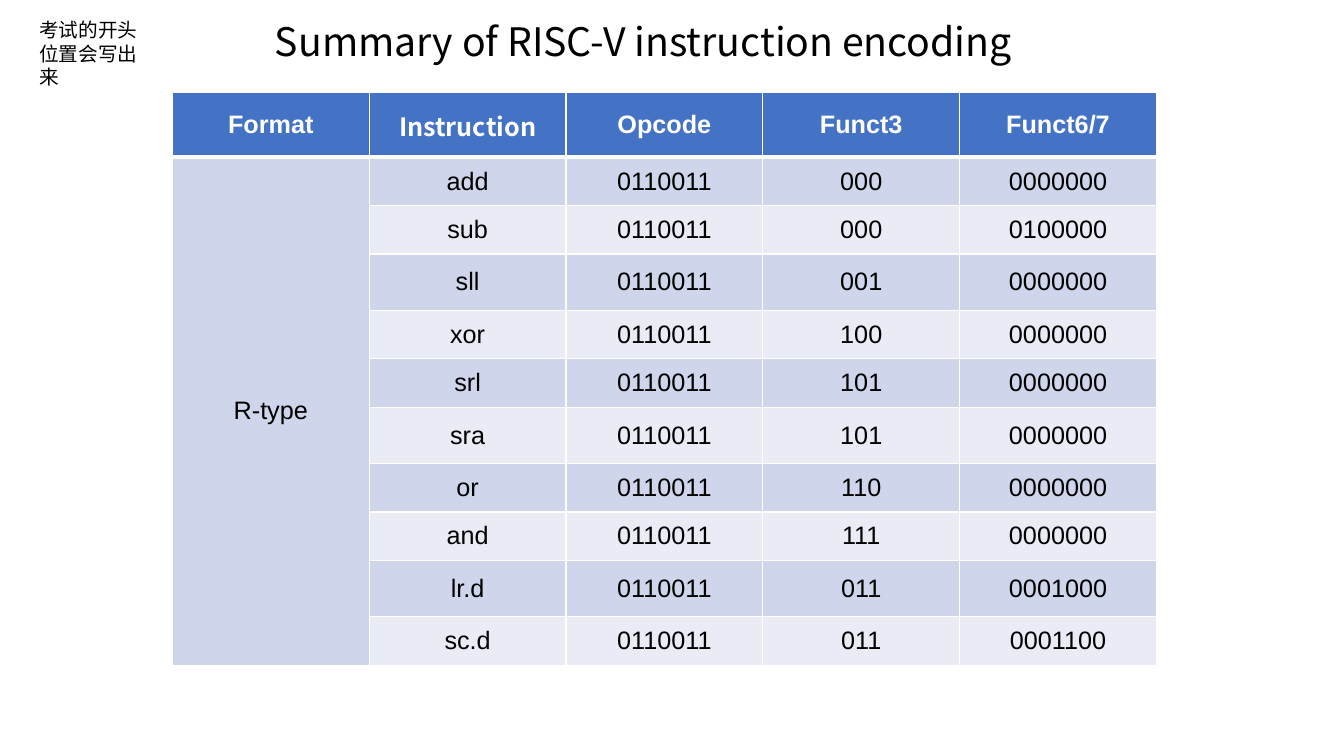
from lxml.etree import SubElement
from pptx import Presentation
from pptx.dml.color import RGBColor
from pptx.enum.text import MSO_ANCHOR, MSO_AUTO_SIZE, PP_ALIGN
from pptx.oxml.ns import qn
from pptx.util import Inches, Pt

LATIN_FONT = "Arial"
CHINESE_FONT = "Noto Sans CJK SC"
BLACK, WHITE = "000000", "FFFFFF"
HEADER_FILL = "4472C4"
BAND_FILLS = ("CFD5EA", "E9EBF5")

HEADERS = ("Format", "Instruction", "Opcode", "Funct3", "Funct6/7")
FORMAT = "R-type"
OPCODE = "0110011"
INSTRUCTIONS = (
    ("add", "000", "0000000"),
    ("sub", "000", "0100000"),
    ("sll", "001", "0000000"),
    ("xor", "100", "0000000"),
    ("srl", "101", "0000000"),
    ("sra", "101", "0000000"),
    ("or", "110", "0000000"),
    ("and", "111", "0000000"),
    ("lr.d", "011", "0001000"),
    ("sc.d", "011", "0001100"),
)
HEADER_HEIGHT, ROW_HEIGHT, TALL_ROW_HEIGHT = 0.64, 0.48, 0.56


def color(value):
    return RGBColor.from_string(value)


def format_text(frame, size, font=LATIN_FONT, fill=BLACK, bold=False, align=None):
    for para in frame.paragraphs:
        para.alignment = align
        for span in para.runs:
            span.font.size = Pt(size)
            span.font.name = font
            span.font.bold = bold
            span.font.color.rgb = color(fill)
            east_asian = SubElement(span.font._element, qn("a:ea"))
            east_asian.set("typeface", CHINESE_FONT)


def place(box, left, top, width, height):
    box.left, box.top = Inches(left), Inches(top)
    box.width, box.height = Inches(width), Inches(height)


def set_borders(cell, bottom_width):
    """Draw white cell edges; call before the cell gets its fill."""
    properties = cell._tc.get_or_add_tcPr()
    widths = {"lnL": 1, "lnR": 1, "lnT": 1, "lnB": bottom_width}
    for edge, width in widths.items():
        line = SubElement(properties, qn(f"a:{edge}"), w=str(Pt(width)))
        fill = SubElement(line, qn("a:solidFill"))
        SubElement(fill, qn("a:srgbClr"), val=WHITE)


def add_title(page, left, top, width, height):
    title = page.shapes.title
    place(title, left, top, width, height)
    frame = title.text_frame
    frame.text = "Summary of RISC-V instruction encoding"
    frame.auto_size = MSO_AUTO_SIZE.NONE
    frame.vertical_anchor = MSO_ANCHOR.MIDDLE
    frame.paragraphs[0].line_spacing = 0.9
    format_text(frame, 28, CHINESE_FONT, align=PP_ALIGN.CENTER)


def add_note(page, left, top, width, height):
    note = page.shapes.add_textbox(
        Inches(left), Inches(top), Inches(width), Inches(height))
    frame = note.text_frame
    frame.word_wrap = True
    frame.auto_size = MSO_AUTO_SIZE.SHAPE_TO_FIT_TEXT
    frame.text = "考试的开头位置会写出来"
    format_text(frame, 14)


def fill_cell(cell, text, row):
    is_header = row == 0
    set_borders(cell, 3 if is_header else 1)
    cell.fill.solid()
    cell.fill.fore_color.rgb = color(
        HEADER_FILL if is_header else BAND_FILLS[(row - 1) % 2])
    cell.vertical_anchor = MSO_ANCHOR.MIDDLE
    cell.text_frame.text = text
    format_text(
        cell.text_frame, 18,
        font=CHINESE_FONT if text == "Instruction" else LATIN_FONT,
        fill=WHITE if is_header else BLACK,
        bold=is_header, align=PP_ALIGN.CENTER)


def add_encoding_table(page, left, top, width):
    """Place the table; every third instruction row is taller."""
    heights = [HEADER_HEIGHT] + [
        ROW_HEIGHT if number % 3 else TALL_ROW_HEIGHT
        for number in range(1, len(INSTRUCTIONS) + 1)]
    table = page.shapes.add_table(
        len(heights), len(HEADERS), Inches(left), Inches(top),
        Inches(width), Inches(sum(heights))).table
    for table_row, height in zip(table.rows, heights):
        table_row.height = Inches(height)

    rows = [HEADERS] + [
        (FORMAT if index == 0 else "", name, OPCODE, funct3, funct67)
        for index, (name, funct3, funct67) in enumerate(INSTRUCTIONS)]
    for row, values in enumerate(rows):
        for column, text in enumerate(values):
            fill_cell(table.cell(row, column), text, row)
    table.cell(1, 0).merge(table.cell(len(INSTRUCTIONS), 0))


def main():
    deck = Presentation()
    deck.slide_width, deck.slide_height = Inches(13.33), Inches(7.5)
    page = deck.slides.add_slide(deck.slide_layouts.get_by_name("Title Only"))
    add_title(page, 1.71, 0.13, 9.34, 0.61)
    add_encoding_table(page, 1.71, 0.92, 9.76)
    add_note(page, 0.29, 0.13, 1.26, 0.81)
    deck.save("out.pptx")


if __name__ == "__main__":
    main()
